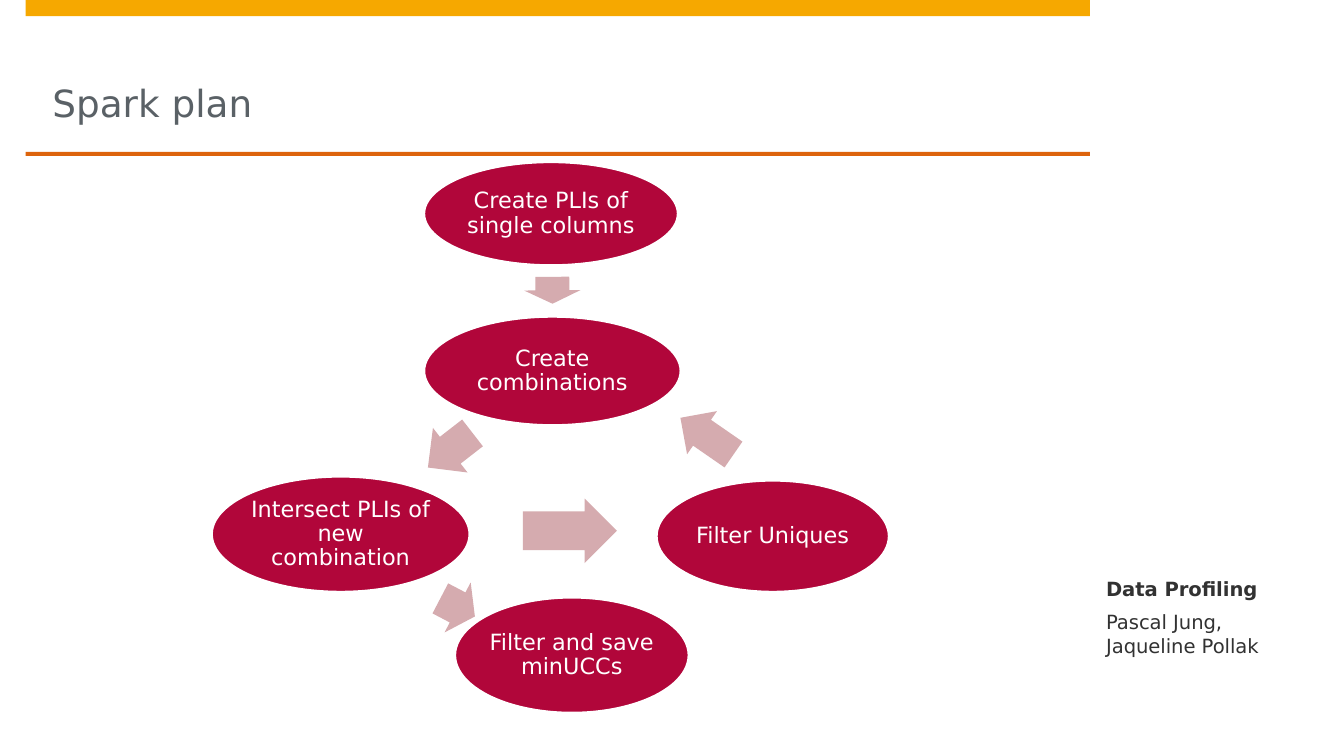
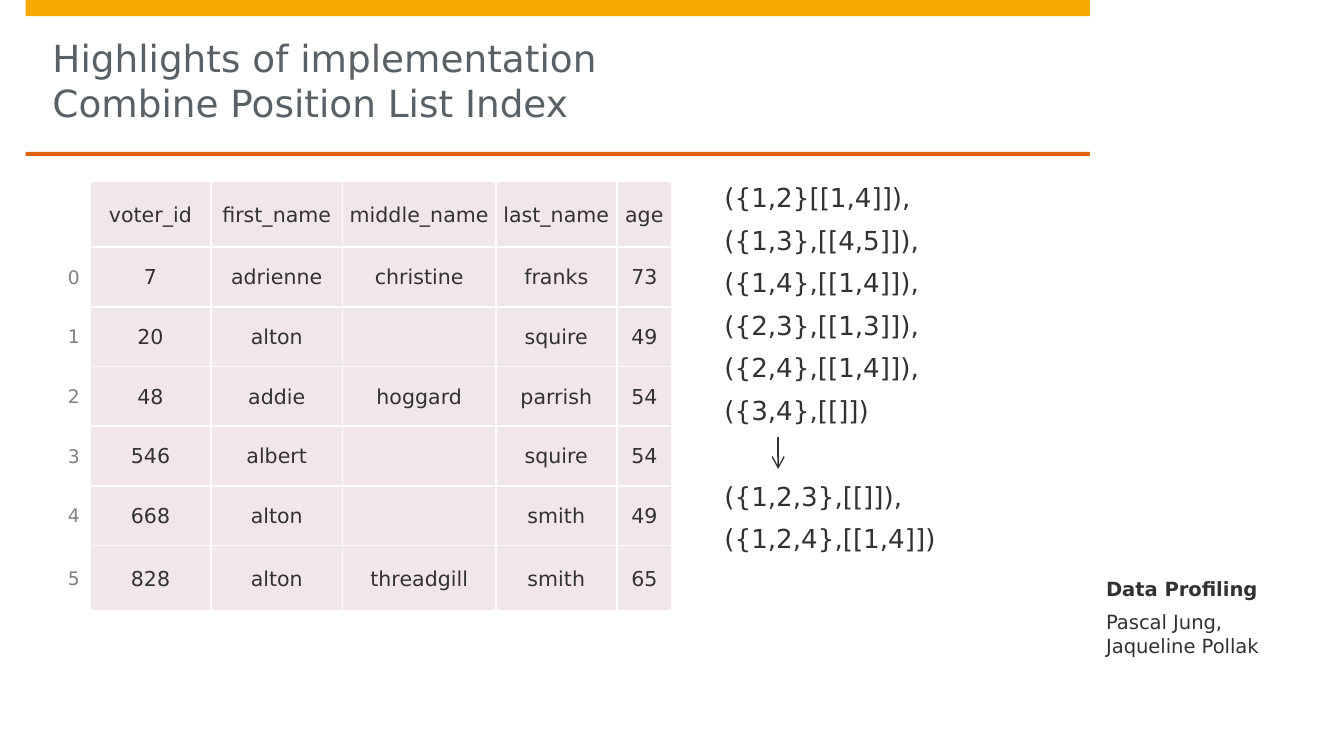
import pptx
import pptx.dml.color
import pptx.enum.shapes
import pptx.enum.text
import pptx.oxml
import pptx.oxml.ns
import pptx.util
from lxml import etree

Inches = pptx.util.Inches
Pt = pptx.util.Pt
RGBColor = pptx.dml.color.RGBColor
MSO_SHAPE = pptx.enum.shapes.MSO_SHAPE
ALIGN = pptx.enum.text.PP_ALIGN
ANCHOR = pptx.enum.text.MSO_ANCHOR

# Shared look
FONT = "DejaVu Sans"
WHITE = RGBColor(0xFF, 0xFF, 0xFF)
TEXT = RGBColor(0x32, 0x32, 0x32)
TITLE = RGBColor(0x5A, 0x61, 0x66)
INDEX_GREY = RGBColor(0x80, 0x80, 0x80)
YELLOW = RGBColor(0xF6, 0xA8, 0x00)
ORANGE = RGBColor(0xDD, 0x64, 0x0C)
CRIMSON = RGBColor(0xB1, 0x06, 0x3A)
PINK = RGBColor(0xD5, 0xAB, 0xAF)
PALE_PINK = RGBColor(0xF2, 0xE7, 0xE8)

BANDS = [((0.19, 0, 7.92, 0.12), YELLOW), ((0.19, 1.13, 7.92, 0.03), ORANGE)]
FOOTERS = [
    (["Data Profiling"], (8.11, 3.9, 1.69, 0.57), True, ANCHOR.BOTTOM),
    (["Pascal Jung,", "Jaqueline Pollak"], (8.11, 4.54, 1.69, 0.51), False, ANCHOR.TOP),
]

# Slide 1 content
PLAN_TITLE = "Spark plan"
STEPS = [
    ("Create PLIs of single columns", (3.15, 1.2, 1.9, 0.78)),
    ("Create combinations", (3.15, 2.35, 1.92, 0.82)),
    ("Intersect PLIs of new combination", (1.57, 3.54, 1.93, 0.87)),
    ("Filter and save minUCCs", (3.38, 4.44, 1.75, 0.87)),
    ("Filter Uniques", (4.88, 3.57, 1.74, 0.84)),
]
STEP_ARROWS = [  # box, rotation in degrees
    ((4.01, 1.95, 0.2, 0.42), 89.5),
    ((3.14, 3.14, 0.42, 0.42), 142.2),
    ((3.26, 4.31, 0.29, 0.42), 27.6),
    ((3.89, 3.71, 0.7, 0.48), 0),
    ((5.02, 3.05, 0.48, 0.39), 214.7),
]

# Slide 2 content
INDEX_TITLE = "Highlights of implementation\vCombine Position List Index"
PAIRS = [
    "({1,2}[[1,4]]),", "({1,3},[[4,5]]),", "({1,4},[[1,4]]),",
    "({2,3},[[1,3]]),", "({2,4},[[1,4]]),", "({3,4},[[]])",
]
TRIPLES = ["({1,2,3},[[]]),", "({1,2,4},[[1,4]])"]
VOTERS = [
    ("", "voter_id", "first_name", "middle_name", "last_name", "age"),
    ("0", "7", "adrienne", "christine", "franks", "73"),
    ("1", "20", "alton", "", "squire", "49"),
    ("2", "48", "addie", "hoggard", "parrish", "54"),
    ("3", "546", "albert", "", "squire", "54"),
    ("4", "668", "alton", "", "smith", "49"),
    ("5", "828", "alton", "threadgill", "smith", "65"),
]
COLUMN_WIDTHS = [0.24, 0.9, 0.98, 1.14, 0.9, 0.41]
TABLE_HEIGHT = 3.2
OUTER_ROW = 0.49
INNER_ROWS = len(VOTERS) - 2
INNER_ROW = (TABLE_HEIGHT - 2 * OUTER_ROW) / INNER_ROWS
ROW_HEIGHTS = [OUTER_ROW] + [INNER_ROW] * INNER_ROWS + [OUTER_ROW]


def inches(values):
    return [Inches(value) for value in values]


def place(shape, box):
    shape.left, shape.top, shape.width, shape.height = inches(box)


def set_frame(frame, margins, anchor):
    frame.word_wrap = True
    frame.auto_size = pptx.enum.text.MSO_AUTO_SIZE.NONE
    frame.vertical_anchor = anchor
    (frame.margin_left, frame.margin_top,
     frame.margin_right, frame.margin_bottom) = inches(margins)


def style(paragraph, size, color, align=ALIGN.LEFT, bold=False):
    paragraph.alignment = align
    font = paragraph.font
    font.name, font.size, font.bold = FONT, Pt(size), bold
    font.color.rgb = color


def add_filled(shapes, kind, box, color):
    shape = shapes.add_shape(kind, *inches(box))
    shape.shadow.inherit = False
    shape.fill.solid()
    shape.fill.fore_color.rgb = color
    shape.line.fill.background()
    return shape


def add_base_slide(presentation, layout_index, title_text):
    """Add a slide with the shared bands, title and footer."""
    slide = presentation.slides.add_slide(presentation.slide_layouts[layout_index])
    for box, color in BANDS:
        add_filled(slide.shapes, MSO_SHAPE.RECTANGLE, box, color)

    title = slide.shapes.title
    place(title, (0.39, 0.12, 7.52, 1.01))
    title.text_frame.text = title_text
    set_frame(title.text_frame, (0, 0, 0, 0.2), ANCHOR.BOTTOM)
    style(title.text_frame.paragraphs[0], 20, TITLE)

    for lines, box, bold, anchor in FOOTERS:
        frame = slide.shapes.add_textbox(*inches(box)).text_frame
        frame.text = "\n".join(lines)
        set_frame(frame, (0.12, 0, 0, 0), anchor)
        for paragraph in frame.paragraphs:
            style(paragraph, 10.5, TEXT, bold=bold)
    return slide


def add_plan(slide):
    diagram = slide.shapes.add_group_shape()
    for text, box in STEPS:
        step = add_filled(diagram.shapes, MSO_SHAPE.OVAL, box, CRIMSON)
        step.line.color.rgb = WHITE
        step.line.width = Pt(2)
        step.text_frame.text = text
        set_frame(step.text_frame, [0] * 4, ANCHOR.MIDDLE)
        paragraph = step.text_frame.paragraphs[0]
        style(paragraph, 12, WHITE, ALIGN.CENTER)
        paragraph.line_spacing = 0.9
    for box, rotation in STEP_ARROWS:
        arrow = add_filled(diagram.shapes, MSO_SHAPE.RIGHT_ARROW, box, PINK)
        arrow.adjustments[0], arrow.adjustments[1] = 0.6, 0.5
        arrow.rotation = rotation


def add_borders(cell):
    properties = cell._tc.get_or_add_tcPr()
    for position, side in enumerate("LRTB"):
        border = pptx.oxml.parse_xml(
            f'<a:ln{side} {pptx.oxml.ns.nsdecls("a")} w="12700"><a:solidFill>'
            f'<a:srgbClr val="{WHITE}"/></a:solidFill></a:ln{side}>')
        properties.insert(position, border)


def add_voters(slide):
    box = (0.43, 1.35, sum(COLUMN_WIDTHS), TABLE_HEIGHT)
    table = slide.shapes.add_table(len(VOTERS), len(COLUMN_WIDTHS), *inches(box)).table
    table.first_row = table.horz_banding = False
    for column, width in zip(table.columns, COLUMN_WIDTHS):
        column.width = Inches(width)
    for row, height, values in zip(table.rows, ROW_HEIGHTS, VOTERS):
        row.height = Inches(height)
        for index, (cell, value) in enumerate(zip(row.cells, values)):
            is_index = index == 0
            cell.text = value
            cell.vertical_anchor = ANCHOR.MIDDLE
            cell.margin_left = cell.margin_right = cell.margin_top = Inches(0.01)
            cell.margin_bottom = 0
            cell.fill.solid()
            cell.fill.fore_color.rgb = WHITE if is_index else PALE_PINK
            style(cell.text_frame.paragraphs[0], 10 if is_index else 11,
                  INDEX_GREY if is_index else TEXT, ALIGN.CENTER)
            add_borders(cell)


def add_combinations(slide):
    body = slide.placeholders[1]
    place(body, (5, 1.35, 3.46, 3.9))
    frame = body.text_frame
    frame.text = "\n".join(PAIRS + TRIPLES)
    set_frame(frame, [0] * 4, ANCHOR.TOP)
    for index, paragraph in enumerate(frame.paragraphs):
        paragraph.level = 1
        style(paragraph, 14, TEXT)
        # The first triple leaves room for the arrow above it
        paragraph.space_before = Pt(26 if index == len(PAIRS) else 3)
        paragraph.space_after = Pt(3)
        properties = paragraph._p.get_or_add_pPr()
        properties.set("marL", str(Inches(0.39)))
        properties.set("indent", "0")
        bullet = pptx.oxml.parse_xml(f'<a:buNone {pptx.oxml.ns.nsdecls("a")}/>')
        properties.find(pptx.oxml.ns.qn("a:spcAft")).addnext(bullet)

    # Arrow from pairs to triples
    arrow = slide.shapes.add_connector(
        pptx.enum.shapes.MSO_CONNECTOR.STRAIGHT, *inches((5.79, 3.25, 5.79, 3.49)))
    arrow.line.color.rgb = TEXT
    arrow.line.width = Pt(0.75)
    etree.SubElement(arrow.line._get_or_add_ln(), pptx.oxml.ns.qn("a:tailEnd"), type="arrow")
    etree.SubElement(arrow._element.spPr, pptx.oxml.ns.qn("a:effectLst"))


def main():
    presentation = pptx.Presentation()
    presentation.slide_width = Inches(10)
    presentation.slide_height = Inches(10 * 9 / 16)

    add_plan(add_base_slide(presentation, 5, PLAN_TITLE))

    index_slide = add_base_slide(presentation, 1, INDEX_TITLE)
    add_combinations(index_slide)
    add_voters(index_slide)

    presentation.save("out.pptx")


if __name__ == "__main__":
    main()
